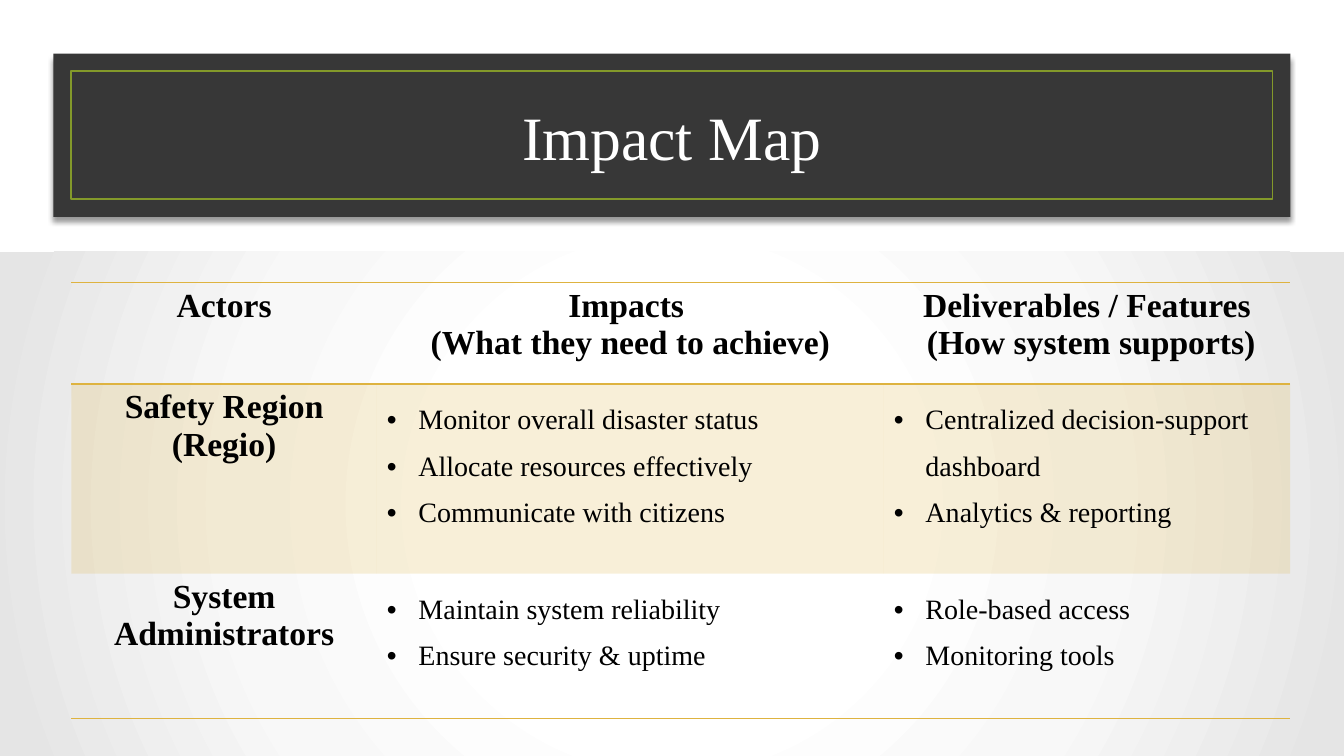
from dataclasses import dataclass
from typing import Optional

from lxml.etree import SubElement
from pptx import Presentation
from pptx.dml.color import RGBColor
from pptx.enum.shapes import MSO_SHAPE as Shape
from pptx.enum.text import MSO_ANCHOR as Anchor, PP_ALIGN as Align
from pptx.oxml import parse_xml
from pptx.oxml.ns import nsdecls, qn
from pptx.util import Pt

COLORS = {
    "white": "FFFFFF",
    "black": "000000",
    "charcoal": "373737",
    "green": "83992A",
    "gold": "DEB340",
    "mist": "F8F8F8",
    "silver": "E5E5E5",
}
FONT_NAME = "Times New Roman"
TITLE = {"name": FONT_NAME, "size": Pt(44), "bold": False}
HEADING = {"name": FONT_NAME, "size": Pt(24), "bold": True}
ITEM = {"name": FONT_NAME, "size": Pt(20), "bold": False}
BULLET_INDENT = Pt(22.5)
GLOW_STOPS = [(0, "white"), (30, "white"), (61, "mist"), (97, "silver")]

COLUMN_WIDTHS = [218.2, 362.2, 290.1]
HEADERS = [
    ["Actors"],
    ["Impacts ", "(What they need to achieve)"],
    ["Deliverables / Features", " (How system supports)"],
]


@dataclass
class Panel:
    left: float
    top: float
    width: float
    height: float
    fill: Optional[str] = None
    line: Optional[str] = None


@dataclass
class Actor:
    name: str
    impacts: list[str]
    deliverables: list[str]
    height: float
    shaded: bool = False


RIBBON = Panel(38.25, 38.25, 883.5, 116.75, fill="charcoal")
FRAME = Panel(51, 51, 858, 91, line="green")
BACKDROP = Panel(0, 180, 960, 360)
HEADER_HEIGHT = 72.7
ACTORS = [
    Actor(
        "Safety Region (Regio)",
        ["Monitor overall disaster status", "Allocate resources effectively",
         "Communicate with citizens"],
        ["Centralized decision-support dashboard", "Analytics & reporting"],
        135.4,
        shaded=True,
    ),
    Actor(
        "System Administrators",
        ["Maintain system reliability", "Ensure security & uptime"],
        ["Role-based access", "Monitoring tools"],
        103.7,
    ),
]


def rgb(color: str) -> RGBColor:
    return RGBColor.from_string(COLORS[color])


def add_panel(slide, panel: Panel):
    box = [Pt(v) for v in (panel.left, panel.top, panel.width, panel.height)]
    shape = slide.shapes.add_shape(Shape.RECTANGLE, *box)
    shape.shadow.inherit = False
    if panel.fill:
        shape.fill.solid()
        shape.fill.fore_color.rgb = rgb(panel.fill)
    else:
        shape.fill.background()
    if panel.line:
        shape.line.color.rgb = rgb(panel.line)
        shape.line.width = Pt(1.25)
    else:
        shape.line.fill.background()
    return shape


def add_drop_shadow(shape) -> None:
    effects = shape.element.spPr.find(qn("a:effectLst"))
    effects.append(parse_xml(
        f'<a:outerShdw {nsdecls("a")} blurRad="{Pt(4)}" dist="{Pt(3)}" dir="5400000">'
        f'<a:srgbClr val="{COLORS["black"]}"><a:alpha val="40000"/></a:srgbClr>'
        "</a:outerShdw>"
    ))


def add_glow(shape) -> None:
    stops = "".join(
        f'<a:gs pos="{position * 1000}"><a:srgbClr val="{COLORS[color]}"/></a:gs>'
        for position, color in GLOW_STOPS
    )
    properties = shape.element.spPr
    properties.replace(properties.find(qn("a:noFill")), parse_xml(
        f'<a:gradFill {nsdecls("a")} rotWithShape="1"><a:gsLst>{stops}</a:gsLst>'
        '<a:path path="circle"><a:fillToRect l="50000" t="50000" r="50000" b="50000"/>'
        "</a:path></a:gradFill>"
    ))


def write(frame, lines: list[str], style: dict, color: str = "black",
          bulleted: bool = False) -> None:
    frame.word_wrap = True
    for index, line in enumerate(lines):
        paragraph = frame.paragraphs[0] if index == 0 else frame.add_paragraph()
        if bulleted:
            properties = paragraph._p.get_or_add_pPr()
            properties.set("marL", str(BULLET_INDENT))
            properties.set("indent", str(-BULLET_INDENT))
            SubElement(properties, qn("a:buFont"), typeface="Arial")
            SubElement(properties, qn("a:buChar"), char="•")
            paragraph.line_spacing = 1.5
        else:
            paragraph.alignment = Align.CENTER
        run = paragraph.add_run()
        run.text = line
        for attribute, value in style.items():
            setattr(run.font, attribute, value)
        run.font.color.rgb = rgb(color)


def add_border(cell, side: str) -> None:
    cell._tc.get_or_add_tcPr().append(parse_xml(
        f'<a:{side} {nsdecls("a")} w="{Pt(1)}"><a:solidFill>'
        f'<a:srgbClr val="{COLORS["gold"]}"/></a:solidFill></a:{side}>'
    ))


def shade(cell) -> None:
    cell.fill.solid()
    cell.fill.fore_color.rgb = rgb("gold")
    tint = cell._tc.tcPr.find(qn("a:solidFill"))[0]
    SubElement(tint, qn("a:alpha"), val="20000")


def add_impact_map(slide) -> None:
    heights = [HEADER_HEIGHT] + [actor.height for actor in ACTORS]
    frame = slide.shapes.add_table(
        len(heights), len(COLUMN_WIDTHS), Pt(51), Pt(201.6),
        Pt(sum(COLUMN_WIDTHS)), Pt(sum(heights)),
    )
    table = frame.table
    table.first_row = table.horz_banding = False
    style_id = table._tbl.tblPr.find(qn("a:tableStyleId"))
    style_id.text = "{2D5ABB26-0587-4C30-8999-92F81FD0307C}"
    for column, width in zip(table.columns, COLUMN_WIDTHS):
        column.width = Pt(width)
    for row, height in zip(table.rows, heights):
        row.height = Pt(height)

    for column, header in enumerate(HEADERS):
        heading = table.cell(0, column)
        write(heading.text_frame, header, HEADING)
        add_border(heading, "lnT")
        add_border(heading, "lnB")
        heading.fill.background()
    for row, actor in enumerate(ACTORS, start=1):
        contents = [[actor.name], actor.impacts, actor.deliverables]
        for column, lines in enumerate(contents):
            cell = table.cell(row, column)
            is_item = column > 0
            write(cell.text_frame, lines, ITEM if is_item else HEADING, bulleted=is_item)
            if row == len(ACTORS):
                add_border(cell, "lnB")
            if actor.shaded:
                shade(cell)
            else:
                cell.fill.background()


def main() -> None:
    deck = Presentation()
    deck.slide_width, deck.slide_height = Pt(960), Pt(540)
    slide = deck.slides.add_slide(deck.slide_layouts[6])
    add_drop_shadow(add_panel(slide, RIBBON))
    title = slide.shapes.add_textbox(Pt(63.5), Pt(62.5), Pt(833), Pt(69)).text_frame
    title.vertical_anchor = Anchor.MIDDLE
    write(title, ["Impact Map"], TITLE, "white")
    add_panel(slide, FRAME)
    add_glow(add_panel(slide, BACKDROP))
    add_impact_map(slide)
    deck.save("out.pptx")


if __name__ == "__main__":
    main()
